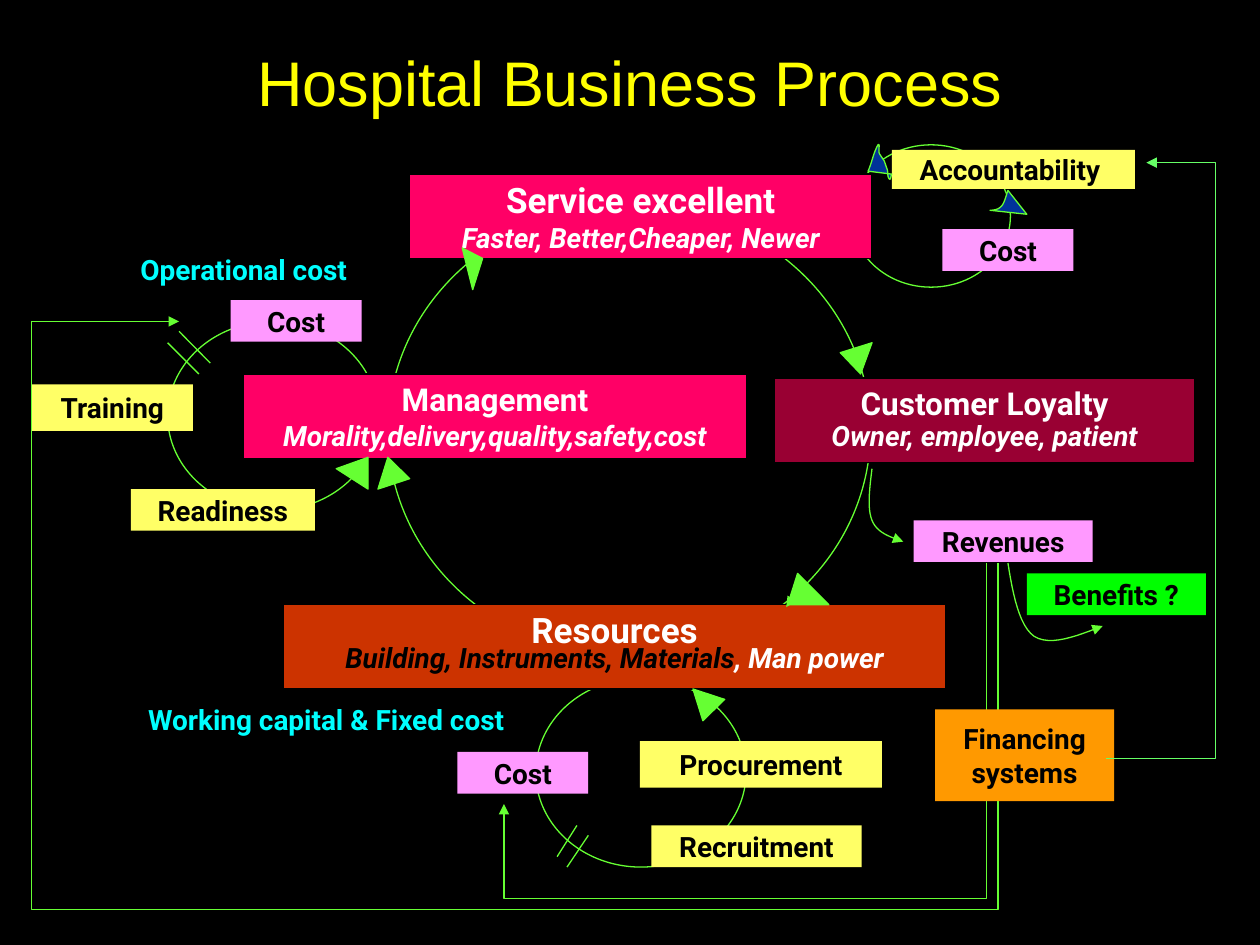
import pptx
import pptx.util
import pptx.dml.color
import pptx.enum.shapes
import pptx.enum.text
import pptx.oxml
import pptx.oxml.ns
from pptx.util import Cm

GREEN, YELLOW, PINK = "66FF33", "FFFF66", "FF99FF"
MAGENTA, NAVY, WHITE, BLACK = "FF0066", "003399", "FFFFFF", "000000"

CYCLES = [(17.17, 2.92, 3.2, 2.87), (3.38, 6.48, 4.24, 3.81),
          (10.8, 13.67, 4.24, 3.81), (7.82, 4.14, 9.73, 9.09)]

STAGES = [
    ((8.26, 3.51, 9.32, 1.7), MAGENTA, 1, ("Service excellent", 20),
     [("Faster, Better,Cheaper, Newer", WHITE)]),
    ((5.72, 12.19, 13.34, 1.7), "CC3300", 0.7, ("Resources", 20),
     [("Building, Instruments, Materials", BLACK), (", Man power", WHITE)]),
    ((4.9, 7.54, 10.16, 1.7), MAGENTA, 1, ("Management", 18),
     [("Morality,delivery,quality,safety,cost", WHITE)]),
    ((15.62, 7.62, 8.46, 1.7), "990033", 0.9, ("Customer Loyalty", 18),
     [("Owner, employee, patient", WHITE)]),
]

FACTORS = [
    ("Procurement", YELLOW, (12.9, 14.94, 4.88, 0.94)),
    ("Cost", PINK, (9.22, 15.16, 2.64, 0.84)),
    ("Readiness", YELLOW, (2.64, 9.86, 3.71, 0.84)),
    ("Training", YELLOW, (0.64, 7.75, 3.25, 0.94)),
    ("Recruitment", YELLOW, (13.13, 16.64, 4.24, 0.84)),
    ("Cost", PINK, (4.65, 6.05, 2.64, 0.84)),
    ("Revenues", PINK, (18.42, 10.49, 3.61, 0.84)),
    ("Accountability ", YELLOW, (17.98, 3.02, 4.9, 0.79)),
    ("Cost", PINK, (19, 4.62, 2.64, 0.84)),
]

COST_LABELS = [("Working capital & Fixed cost", (1.83, 13.92, 9.5, 1.17)),
               ("Operational cost", (2.11, 5, 5.61, 0.84))]

CYCLE_HEADS = [
    (GREEN, [(7.82, 9.22), (7.62, 9.86), (8.26, 9.65)]),
    (GREEN, [(15.88, 12.19), (16.08, 11.56), (16.71, 12.19)]),
    (GREEN, [(17.35, 7.54), (17.58, 6.91), (16.94, 7.11)]),
    (GREEN, [(9.32, 5), (9.73, 5.21), (9.53, 5.84)]),
    (GREEN, [(7.42, 9.22), (6.78, 9.45), (7.42, 9.86)]),
    (GREEN, [(13.97, 13.89), (14.17, 14.53), (14.61, 14.1)]),
    (NAVY, [(20.32, 3.84), (20.24, 4.06, 20.24, 4.24, 19.96, 4.24), (20.7, 4.32)]),
    (NAVY, [(17.5, 3.45), (17.58, 3.28, 17.6, 3.1, 17.7, 2.92),
            (17.75, 2.87, 17.7, 3.05, 17.73, 3.1), (17.83, 3.25), (17.88, 3.4),
            (17.91, 3.45, 17.88, 3.56, 17.93, 3.61),
            (17.96, 3.63, 17.96, 3.53, 17.98, 3.51)]),
]

MONEY_FLOWS = [
    [(16, 12.01), (15.95, 12.09, 15.85, 12.24, 15.85, 12.24)],
    [(17.58, 9.45), (17.53, 9.86, 17.48, 10.24, 17.58, 10.49),
     (17.68, 10.74, 17.93, 10.82, 18.21, 10.92)],
    [(20.32, 11.35), (20.42, 11.99, 20.55, 12.62, 20.85, 12.83),
     (21.18, 13.03, 21.69, 12.83, 22.23, 12.62)],
    [(19.89, 11.35), (19.89, 18.11), (10.16, 18.11), (10.16, 16.21)],
    [(20.12, 11.35), (20.12, 18.34), (0.64, 18.34), (0.64, 6.48), (3.61, 6.48)],
]
FINANCING_FLOW = [(22.3, 15.29), (24.51, 15.29), (24.51, 3.28), (23.11, 3.28)]

DELAY_MARKS = [(11.63, 16.64, 11.23, 17.27), (11.86, 16.84, 11.43, 17.48),
               (3.61, 6.68, 4.24, 7.32), (3.38, 6.91, 4.01, 7.54)]


def color(value):
    """Turn a hex string into a colour."""
    return pptx.dml.color.RGBColor.from_string(value)


def paint(shape, fill=None, line=None):
    """Set fill and outline and drop the shadow."""
    shape.shadow.inherit = False
    if fill:
        shape.fill.solid()
        shape.fill.fore_color.rgb = color(fill)
    else:
        shape.fill.background()
    if line:
        shape.line.color.rgb = color(line)
        shape.line.width = pptx.util.Pt(0.75)
    else:
        shape.line.fill.background()


def add_run(paragraph, text, size, ink, font="Roboto", bold=True, italic=False):
    """Append one formatted run."""
    run = paragraph.add_run()
    run.text = text
    run.font.name = font
    run.font.size = pptx.util.Pt(size)
    run.font.bold = bold
    run.font.italic = italic
    run.font.color.rgb = color(ink)


def centred_paragraph(shape):
    """Prepare the wrapped, centred first paragraph of a shape."""
    frame = shape.text_frame
    frame.word_wrap = True
    frame.vertical_anchor = pptx.enum.text.MSO_ANCHOR.MIDDLE
    paragraph = frame.paragraphs[0]
    paragraph.alignment = pptx.enum.text.PP_ALIGN.CENTER
    return paragraph


def add_preset(slide, kind, place, fill=None, line=None):
    """Add a preset shape at a place in centimetres."""
    shape = slide.shapes.add_shape(kind, *map(Cm, place))
    paint(shape, fill, line)
    return shape


def add_factor(slide, text, fill, place):
    """Add a small box with a single caption."""
    factor = add_preset(slide, pptx.enum.shapes.MSO_SHAPE.RECTANGLE, place, fill)
    add_run(centred_paragraph(factor), text, 16, BLACK)


def add_stage(slide, place, fill, spacing, heading, details):
    """Add a main stage with a heading and an italic line below."""
    stage = add_preset(slide, pptx.enum.shapes.MSO_SHAPE.RECTANGLE, place, fill, BLACK)
    paragraph = centred_paragraph(stage)
    paragraph.line_spacing = spacing
    add_run(paragraph, *heading, WHITE)
    paragraph.add_line_break()
    for text, ink in details:
        add_run(paragraph, text, 16, ink, italic=True)


def trace(steps, pieces=12):
    """Expand points and cubic curve steps into a list of points."""
    points = [steps[0]]
    for step in steps[1:]:
        if len(step) == 2:
            points.append(step)
            continue
        corners = [points[-1], step[:2], step[2:4], step[4:]]
        for piece in range(1, pieces + 1):
            t = piece / pieces
            weights = ((1 - t) ** 3, 3 * t * (1 - t) ** 2, 3 * t * t * (1 - t), t ** 3)
            points.append(tuple(sum(w * corner[axis] for w, corner in zip(weights, corners))
                                for axis in (0, 1)))
    return points


def add_outline(slide, steps, fill=None, line=GREEN):
    """Draw a filled closed outline, or an open one ending in an arrowhead."""
    start, *rest = [(Cm(x), Cm(y)) for x, y in trace(steps)]
    builder = slide.shapes.build_freeform(*start)
    builder.add_line_segments(rest, close=bool(fill))
    outline = builder.convert_to_shape()
    paint(outline, fill, line)
    if not fill:
        arrow = pptx.oxml.parse_xml(
            f'<a:tailEnd {pptx.oxml.ns.nsdecls("a")} type="triangle"/>')
        outline.line._get_or_add_ln().append(arrow)


def add_delay_mark(slide, ends):
    """Draw a short stroke across a cycle."""
    mark = slide.shapes.add_connector(
        pptx.enum.shapes.MSO_CONNECTOR.STRAIGHT, *map(Cm, ends))
    mark.line.color.rgb = color(GREEN)
    mark.line.width = pptx.util.Pt(0.75)
    mark._element.spPr.append(
        pptx.oxml.parse_xml(f'<a:effectLst {pptx.oxml.ns.nsdecls("a")}/>'))


def add_title(slide, text):
    """Place and format the slide title."""
    title = slide.shapes.title
    title.left, title.top, title.width, title.height = map(Cm, (1.27, 0.64, 22.86, 1.55))
    paragraph = centred_paragraph(title)
    title.text_frame.auto_size = pptx.enum.text.MSO_AUTO_SIZE.NONE
    title.text_frame.vertical_anchor = pptx.enum.text.MSO_ANCHOR.TOP
    title.text_frame.margin_top = Cm(0.23)
    add_run(paragraph, text, 36, "FFFF00", "Arial", bold=False)


def main():
    """Build the slide and save it."""
    deck = pptx.Presentation()
    deck.slide_width, deck.slide_height = Cm(25.4), Cm(19.05)
    slide = deck.slides.add_slide(deck.slide_layouts[5])
    slide.background.fill.solid()
    slide.background.fill.fore_color.rgb = color(BLACK)
    add_title(slide, "Hospital Business Process")
    for place in CYCLES:
        add_preset(slide, pptx.enum.shapes.MSO_SHAPE.OVAL, place, line=GREEN)
    for stage in STAGES:
        add_stage(slide, *stage)
    for factor in FACTORS:
        add_factor(slide, *factor)
    for text, place in COST_LABELS:
        label = slide.shapes.add_textbox(*map(Cm, place))
        add_run(centred_paragraph(label), text, 16, "00FFFF")
    for fill, steps in CYCLE_HEADS:
        add_outline(slide, steps, fill)
    for ends in DELAY_MARKS:
        add_delay_mark(slide, ends)
    for steps in MONEY_FLOWS:
        add_outline(slide, steps)
    add_factor(slide, "Benefits ?", "00FF00", (20.7, 11.56, 3.61, 0.84))
    add_factor(slide, "Financing systems", "FF9900", (18.85, 14.3, 3.61, 1.85))
    add_outline(slide, FINANCING_FLOW, line="66FF66")
    deck.save("out.pptx")


if __name__ == "__main__":
    main()
